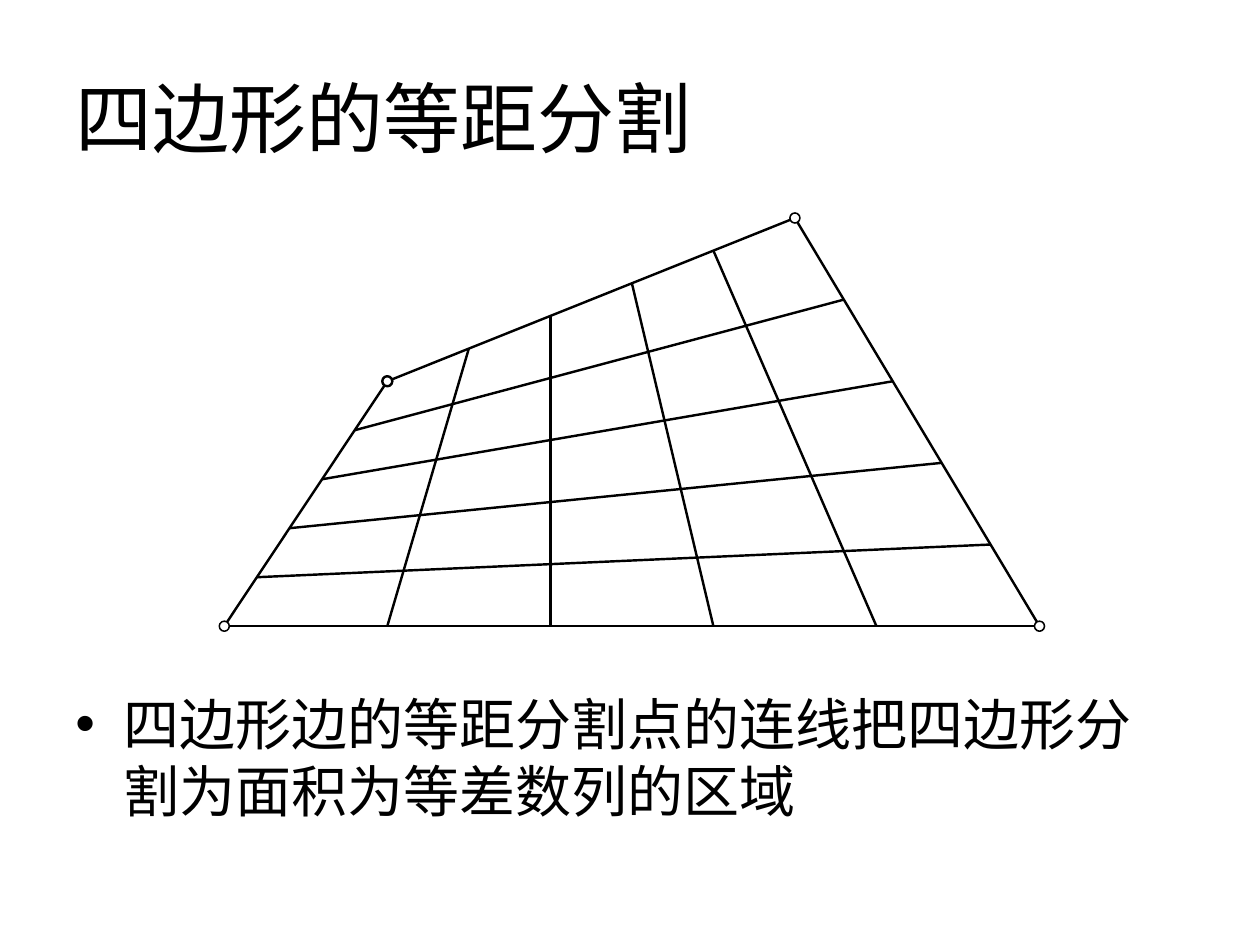
from dataclasses import dataclass

from lxml.etree import SubElement
from pptx import Presentation
from pptx.dml.color import RGBColor
from pptx.enum.shapes import MSO_CONNECTOR, MSO_SHAPE
from pptx.enum.text import MSO_ANCHOR
from pptx.oxml.ns import qn
from pptx.util import Inches, Pt


@dataclass(frozen=True)
class Theme:
    """Colours, fonts and type sizes of the slide."""
    ink: RGBColor = RGBColor(0x00, 0x00, 0x00)
    paper: RGBColor = RGBColor(0xFF, 0xFF, 0xFF)
    title_font: str = "Calibri"
    body_font: str = "Noto Sans CJK SC"
    title_size: float = 44
    body_size: float = 32
    body_leading: float = 38
    edge_width: float = 1.38
    vertex_width: float = 0.88


THEME = Theme()


def add_text(slide, box, text, font, size):
    """Add a wrapped one-paragraph text box and return its frame."""
    frame = slide.shapes.add_textbox(*map(Inches, box)).text_frame
    frame.word_wrap = True
    frame.text = text
    run = frame.paragraphs[0].runs[0]
    run.font.name = font
    run.font.size = Pt(size)
    run.font.color.rgb = THEME.ink
    SubElement(run.font._element, qn("a:ea"), typeface=THEME.body_font)
    return frame


def add_title(slide, box, text):
    """Place the title, centred vertically in its box."""
    frame = add_text(slide, box, text, THEME.title_font, THEME.title_size)
    frame.vertical_anchor = MSO_ANCHOR.MIDDLE


def add_bullet(slide, box, text):
    """Place the bulleted statement with a hanging indent."""
    frame = add_text(slide, box, text, THEME.body_font, THEME.body_size)
    frame.margin_top = Inches(0.09)
    paragraph = frame.paragraphs[0]
    paragraph.line_spacing = Pt(THEME.body_leading)
    properties = paragraph._p.get_or_add_pPr()
    properties.set("marL", str(Inches(0.38)))
    properties.set("indent", str(-Inches(0.38)))
    SubElement(properties, qn("a:buFont"), typeface="Arial")
    SubElement(properties, qn("a:buChar"), char="•")


def add_edge(slide, start, end):
    """Draw one straight line between two points."""
    edge = slide.shapes.add_connector(
        MSO_CONNECTOR.STRAIGHT, *map(Inches, (*start, *end)))
    edge.line.color.rgb = THEME.ink
    edge.line.width = Pt(THEME.edge_width)
    SubElement(edge._element.spPr, qn("a:effectLst"))


def add_vertex(slide, centre, width, diameter=0.08):
    """Mark a corner with a small open circle."""
    x, y = centre
    vertex = slide.shapes.add_shape(
        MSO_SHAPE.OVAL, Inches(x - diameter / 2), Inches(y - diameter / 2),
        Inches(diameter), Inches(diameter))
    vertex.shadow.inherit = False
    vertex.fill.solid()
    vertex.fill.fore_color.rgb = THEME.paper
    vertex.line.color.rgb = THEME.ink
    vertex.line.width = Pt(width)


def point_between(start, end, share):
    """Return the point at a share of the way from start to end."""
    return tuple(a + (b - a) * share for a, b in zip(start, end))


def add_quadrilateral(slide, box, parts=5):
    """Draw a quadrilateral whose opposite sides are joined at equal divisions."""
    left, top, width, height = box
    corners = [(left + width * u, top + height * v)
               for u, v in ((0.2, 0.4), (0, 1), (1, 1), (0.7, 0))]
    top_left, bottom_left, bottom_right, top_right = corners
    side_pairs = (
        ((bottom_left, top_left), (bottom_right, top_right)),
        ((top_left, top_right), (bottom_left, bottom_right)),
    )
    for first_side, second_side in side_pairs:
        for step in range(parts + 1):
            add_edge(slide, point_between(*first_side, step / parts),
                     point_between(*second_side, step / parts))
    for corner in corners:
        emphasised = corner == top_left
        add_vertex(slide, corner,
                   THEME.edge_width if emphasised else THEME.vertex_width)


def main():
    """Build and save the slide."""
    deck = Presentation()
    deck.slide_width, deck.slide_height = Inches(10), Inches(7.5)
    slide = deck.slides.add_slide(deck.slide_layouts[6])
    add_title(slide, (0.5, 0.3, 9, 1.25), "四边形的等距分割")
    add_bullet(slide, (0.5, 5.39, 9, 1.31),
               "四边形边的等距分割点的连线把四边形分割为面积为等差数列的区域")
    add_quadrilateral(slide, (1.78, 1.73, 6.47, 3.24))
    deck.save("out.pptx")


if __name__ == "__main__":
    main()
